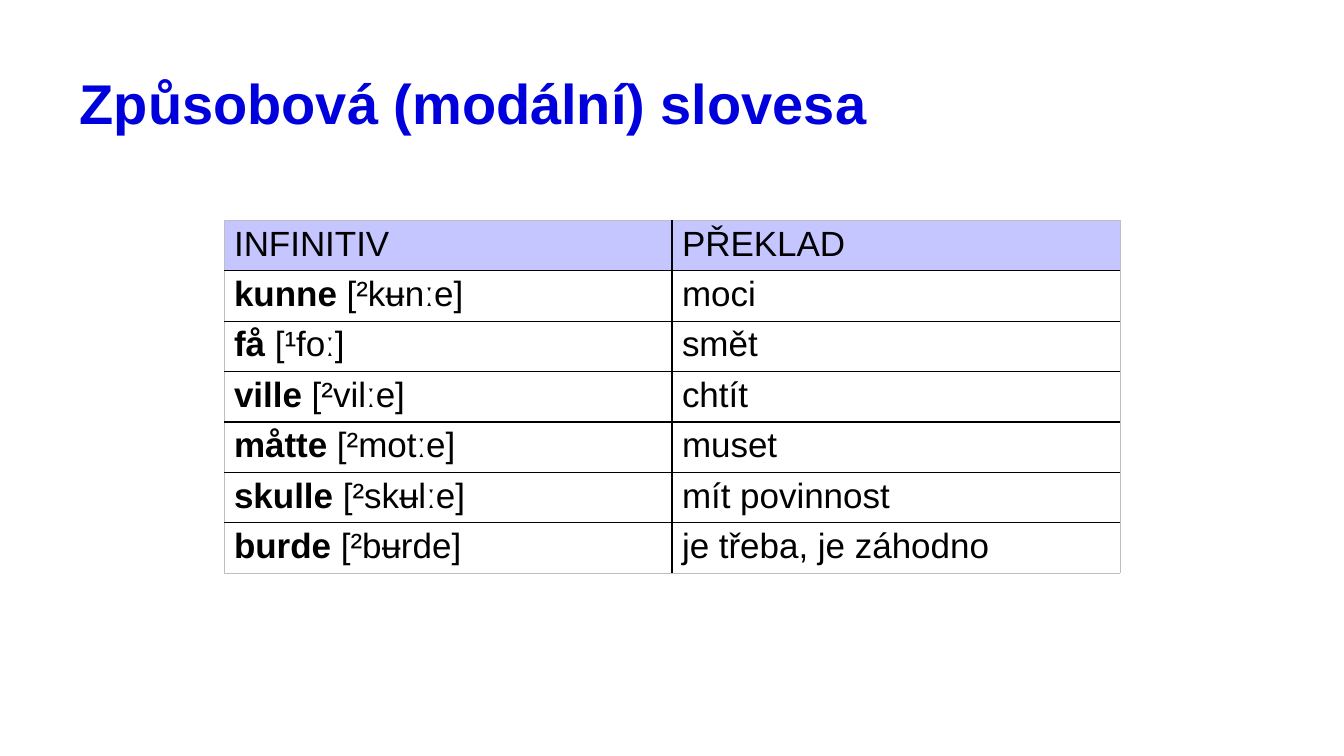
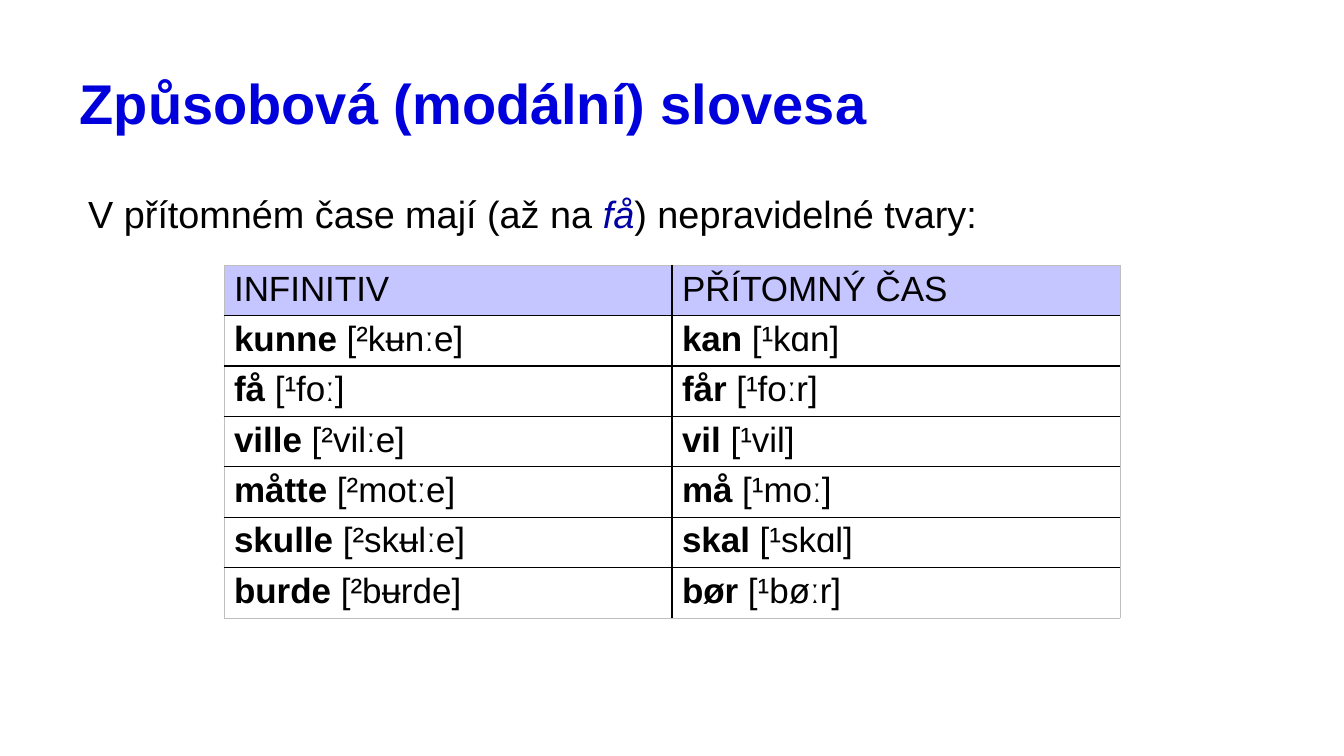
from lxml.etree import SubElement
from pptx import Presentation
from pptx.dml.color import RGBColor
from pptx.enum.text import MSO_ANCHOR
from pptx.oxml.ns import qn
from pptx.util import Emu, Pt

PX = 6350
FONT = "Arial"
BLACK = RGBColor(0x00, 0x00, 0x00)
TITLE_BLUE = RGBColor(0x00, 0x00, 0xDC)
WORD_BLUE = RGBColor(0x00, 0x00, 0xA5)
HEADER_FILL = RGBColor(0xC5, 0xC5, 0xFF)
EDGE_GRAY = RGBColor(0xBF, 0xBF, 0xBF)

TITLE = "Způsobová (modální) slovesa"
LEFT, WIDTH = 114, 1693
TABLE_LEFT, COL_WIDTH, ROW_HEIGHT = 320, 640, 70
CELL_MARGIN = 6

INFINITIVES = [
    ("kunne", " [²kʉnːe]"),
    ("få", " [¹foː]"),
    ("ville", " [²vilːe]"),
    ("måtte", " [²motːe]"),
    ("skulle", " [²skʉlːe]"),
    ("burde", " [²bʉrde]"),
]
TRANSLATIONS = ["moci", "smět", "chtít", "muset", "mít povinnost",
                "je třeba, je záhodno"]
PRESENT_FORMS = [
    ("kan", " [¹kɑn]"),
    ("får", " [¹foːr]"),
    ("vil", " [¹vil]"),
    ("må", " [¹moː]"),
    ("skal", " [¹skɑl]"),
    ("bør", " [¹bøːr]"),
]


def px(n):
    return Emu(n * PX)


def add_run(p, text, size, color=BLACK, bold=False, italic=False):
    r = p.add_run()
    r.text = text
    r.font.name = FONT
    r.font.size = Pt(size)
    r.font.color.rgb = color
    r.font.bold = bold
    r.font.italic = italic


def add_text_line(s, top, height, spacing):
    tf = s.shapes.add_textbox(px(LEFT), px(top), px(WIDTH), px(height)).text_frame
    tf.word_wrap = True
    tf.vertical_anchor = MSO_ANCHOR.TOP
    tf.margin_left = tf.margin_right = tf.margin_top = tf.margin_bottom = 0
    p = tf.paragraphs[0]
    p.line_spacing = Pt(spacing)
    return p


def add_titled_slide(prs):
    s = prs.slides.add_slide(prs.slide_layouts[6])
    add_run(add_text_line(s, 114, 71, 40), TITLE, 40, TITLE_BLUE, bold=True)
    return s


def set_borders(cell, outer_sides):
    tc_pr = cell._tc.get_or_add_tcPr()
    for side in "LRTB":
        outer = side in outer_sides
        ln = SubElement(tc_pr, qn(f"a:ln{side}"), w=str(Pt(0.5 if outer else 1)))
        fill = SubElement(ln, qn("a:solidFill"))
        SubElement(fill, qn("a:srgbClr"), val=str(EDGE_GRAY if outer else BLACK))


def fill_cell(cell, content, is_header):
    cell.margin_top = cell.margin_bottom = px(CELL_MARGIN)
    if is_header:
        cell.fill.solid()
        cell.fill.fore_color.rgb = HEADER_FILL
    else:
        cell.fill.background()
    p = cell.text_frame.paragraphs[0]
    if isinstance(content, tuple):
        word, pronunciation = content
        add_run(p, word, 25, bold=True)
        add_run(p, pronunciation, 25)
    else:
        add_run(p, content, 25)


def add_verb_table(s, top, heading, forms):
    rows = [("INFINITIV", heading), *zip(INFINITIVES, forms)]
    table = s.shapes.add_table(len(rows), 2, px(TABLE_LEFT), px(top),
                               px(2 * COL_WIDTH), px(len(rows) * ROW_HEIGHT)).table
    table.first_row = table.horz_banding = False
    for i, row in enumerate(rows):
        vertical = "T" if i == 0 else "B" if i == len(rows) - 1 else ""
        for j, content in enumerate(row):
            cell = table.cell(i, j)
            set_borders(cell, "LR"[j] + vertical)
            fill_cell(cell, content, i == 0)


def add_present_tense_intro(s):
    p = add_text_line(s, 266, 100, 36)
    p_pr = p._p.get_or_add_pPr()
    p_pr.set("marL", str(px(12)))
    p_pr.set("indent", "0")
    add_run(p, "V přítomném čase mají (až na ", 27)
    add_run(p, "få", 27, WORD_BLUE, italic=True)
    add_run(p, ") nepravidelné tvary:", 27)


def main():
    prs = Presentation()
    prs.slide_width, prs.slide_height = px(1920), px(1080)

    s = add_titled_slide(prs)
    add_verb_table(s, 315, "PŘEKLAD", TRANSLATIONS)

    s = add_titled_slide(prs)
    add_present_tense_intro(s)
    add_verb_table(s, 379, "PŘÍTOMNÝ ČAS", PRESENT_FORMS)

    prs.save("out.pptx")


if __name__ == "__main__":
    main()
